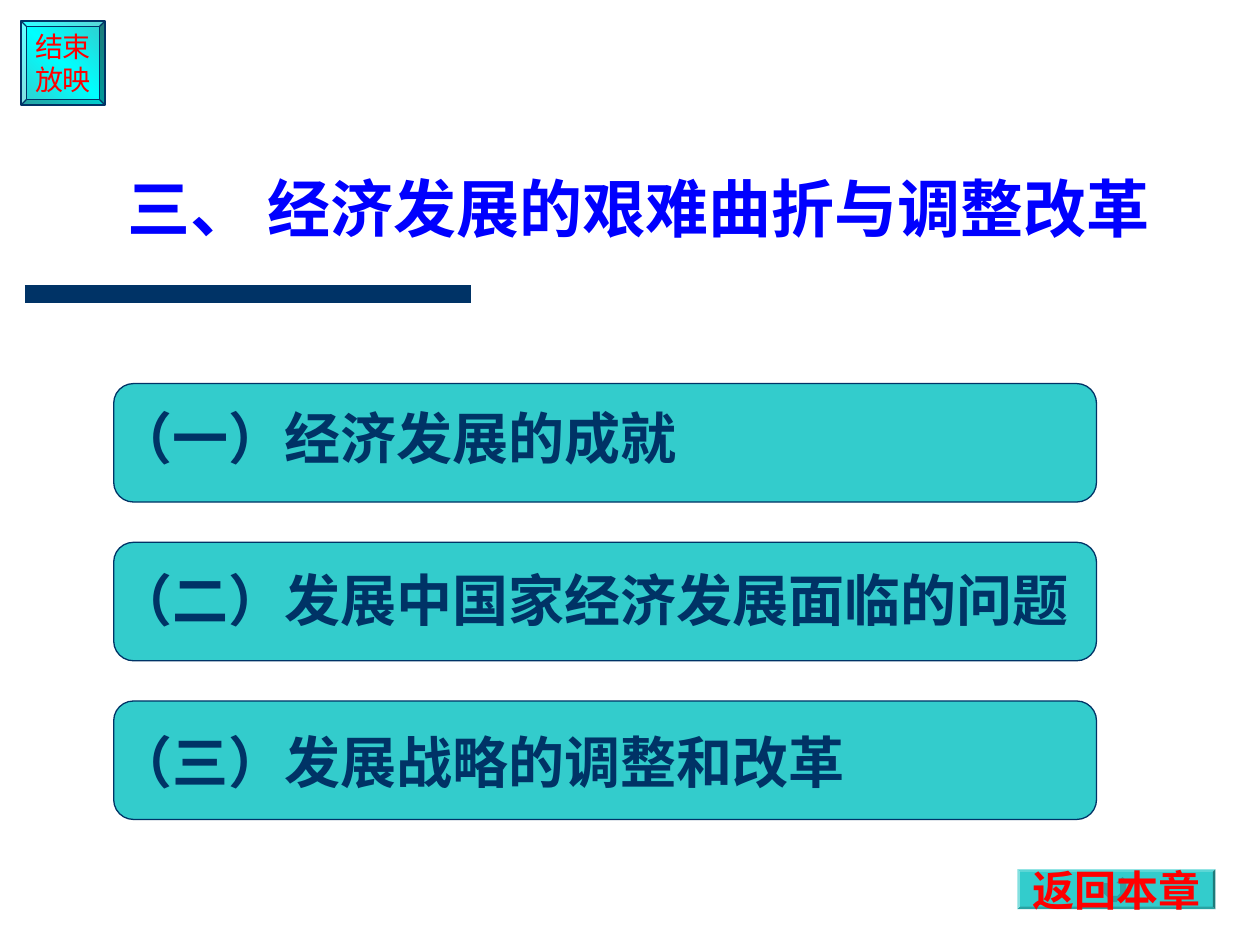
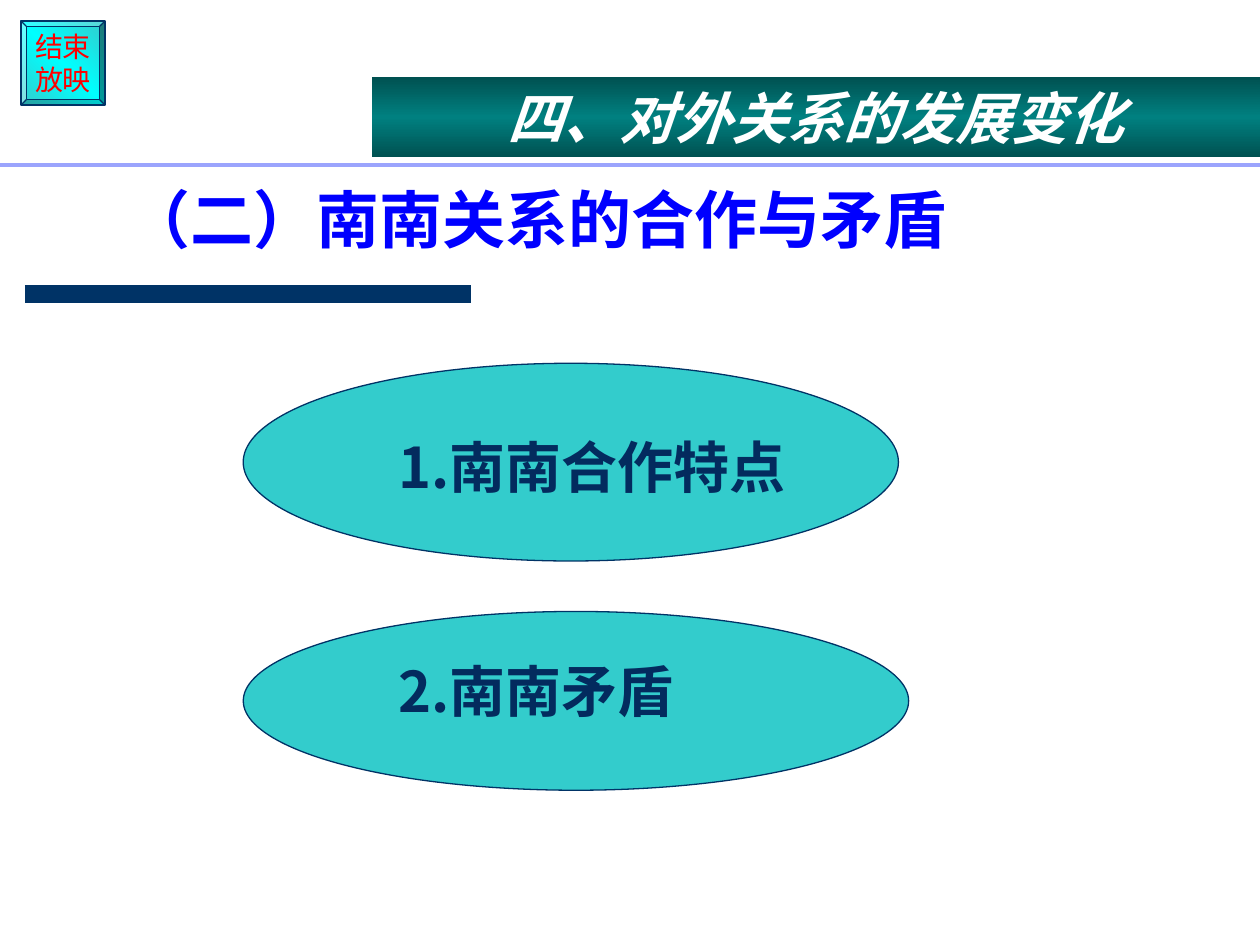
from dataclasses import dataclass

from lxml.etree import SubElement
from pptx import Presentation
from pptx.dml.color import RGBColor
from pptx.enum.shapes import MSO_CONNECTOR, MSO_SHAPE
from pptx.enum.text import MSO_ANCHOR, MSO_AUTO_SIZE, PP_ALIGN
from pptx.oxml.ns import qn
from pptx.shapes.autoshape import Shape
from pptx.slide import Slide
from pptx.text.text import TextFrame, _Paragraph
from pptx.util import Pt

COLORS = {
    "navy": "003366", "item": "032B5E", "title": "0000FF", "teal": "33CCCC",
    "cyan": "00FFFF", "red": "FF0000", "white": "FFFFFF", "rule": "9BA4FD",
    "banner_edge": "005151", "banner_core": "008080",
}
CJK = "Noto Sans CJK SC"
LATIN = "Arial"


@dataclass(frozen=True)
class Box:
    left: float
    top: float
    width: float
    height: float

    def lengths(self) -> list[Pt]:
        return [Pt(v) for v in (self.left, self.top, self.width, self.height)]


@dataclass(frozen=True)
class Style:
    size: float
    color: str
    font: str = CJK
    bold: bool = True
    italic: bool = False


@dataclass(frozen=True)
class ItemList:
    box: Box
    style: Style
    gap: float
    margin: float
    hanging: float


TITLE = Style(36, "title")
TOPIC = Style(32, "navy")
POINT = Style(32, "item")
BANNER = Style(32, "white", italic=True)
END_LABEL = Style(16, "red", LATIN, bold=False)
RETURN_LABEL = Style(24, "red", LATIN)
BEVEL_DEPTH = 0.0625


def rgb(name: str) -> RGBColor:
    return RGBColor.from_string(COLORS[name])


def add_run(paragraph: _Paragraph, text: str, style: Style) -> None:
    run = paragraph.add_run()
    run.text = text
    font = run.font
    font.name, font.size = style.font, Pt(style.size)
    font.bold, font.italic = style.bold, style.italic
    font.color.rgb = rgb(style.color)
    east_asian = SubElement(run._r.get_or_add_rPr(), qn("a:ea"))
    east_asian.set("typeface", CJK)


def write_centred(frame: TextFrame, lines: list[str], style: Style) -> None:
    frame.word_wrap = False
    frame.vertical_anchor = MSO_ANCHOR.MIDDLE
    for i, line in enumerate(lines):
        paragraph = frame.add_paragraph() if i else frame.paragraphs[0]
        paragraph.alignment = PP_ALIGN.CENTER
        add_run(paragraph, line, style)


def paint(shape: Shape, fill: str, line: str | None = None) -> None:
    shape.shadow.inherit = False
    shape.fill.solid()
    shape.fill.fore_color.rgb = rgb(fill)
    if line:
        shape.line.color.rgb = rgb(line)
        shape.line.width = Pt(0.75)
    else:
        shape.line.fill.background()


def paint_gradient(shape: Shape, edge: str, core: str, angle: int) -> None:
    """Blend from edge to core and back, at a clockwise angle in degrees."""
    shape.fill.gradient()
    gradient = shape._element.spPr.find(qn("a:gradFill"))
    for child in list(gradient):
        gradient.remove(child)
    stops = SubElement(gradient, qn("a:gsLst"))
    for position, color in ((0, edge), (50, core), (100, edge)):
        stop = SubElement(stops, qn("a:gs"), pos=str(position * 1000))
        SubElement(stop, qn("a:srgbClr"), val=COLORS[color])
    SubElement(gradient, qn("a:lin"), ang=str(angle * 60000), scaled="0")


def add_panel(slide: Slide, kind: MSO_SHAPE, box: Box, fill: str = "teal",
              line: str | None = "navy") -> Shape:
    panel = slide.shapes.add_shape(kind, *box.lengths())
    paint(panel, fill, line)
    return panel


def add_rule(slide: Slide, start: float, end: float, y: float,
             color: str, width: float) -> None:
    rule = slide.shapes.add_connector(
        MSO_CONNECTOR.STRAIGHT, Pt(start), Pt(y), Pt(end), Pt(y))
    rule.line.color.rgb = rgb(color)
    rule.line.width = Pt(width)
    SubElement(rule._element.spPr, qn("a:effectLst"))


def place(placeholder: Shape, box: Box) -> TextFrame:
    """Move a placeholder to a box, in front of what is already drawn."""
    placeholder.left, placeholder.top, placeholder.width, placeholder.height = box.lengths()
    element = placeholder._element
    element.getparent().append(element)
    frame = placeholder.text_frame
    frame.word_wrap = True
    frame.auto_size = MSO_AUTO_SIZE.NONE
    return frame


def add_title(slide: Slide, text: str, top: float) -> None:
    frame = place(slide.shapes.title, Box(65.5, top, 612.7, 78.5))
    frame.vertical_anchor = MSO_ANCHOR.BOTTOM
    paragraph = frame.paragraphs[0]
    paragraph.alignment = PP_ALIGN.LEFT
    paragraph.line_spacing = 0.9
    add_run(paragraph, text, TITLE)


def add_items(slide: Slide, items: list[str], layout: ItemList) -> None:
    frame = place(slide.placeholders[1], layout.box)
    frame.vertical_anchor = MSO_ANCHOR.TOP
    for i, item in enumerate(items):
        paragraph = frame.add_paragraph() if i else frame.paragraphs[0]
        properties = paragraph._p.get_or_add_pPr()
        properties.set("marL", str(Pt(layout.margin)))
        properties.set("indent", str(Pt(-layout.hanging)))
        SubElement(properties, qn("a:buNone"))
        paragraph.space_before = Pt(layout.gap if i else 0)
        add_run(paragraph, item, layout.style)


def start_slide(deck: Presentation) -> Slide:
    """Add a slide with the shared title rule and end-show button."""
    slide = deck.slides.add_slide(deck.slide_layouts[1])
    add_rule(slide, 14.2, 269.2, 168, "navy", 10)
    end_show = add_panel(slide, MSO_SHAPE.BEVEL, Box(12, 12, 48, 48))
    end_show.adjustments[0] = BEVEL_DEPTH
    paint_gradient(end_show, "teal", "cyan", 135)
    write_centred(end_show.text_frame, ["结束", "放映"], END_LABEL)
    return slide


def add_return_button(slide: Slide) -> None:
    button = add_panel(slide, MSO_SHAPE.BEVEL, Box(581.3, 496.8, 113.2, 22.8), line=None)
    button.adjustments[0] = BEVEL_DEPTH
    outline = [(630.7, 504.7), (634.3, 504.7), (634.3, 510.5), (635.8, 511.9),
               (638.6, 511.9), (640.1, 510.5), (640.1, 504.7), (637.9, 504.7),
               (641.5, 501.1), (645.1, 504.7), (643.7, 504.7), (643.7, 510.5),
               (638, 515.5), (635.8, 515.5), (630.7, 510.5)]
    points = [(Pt(x), Pt(y)) for x, y in outline]
    builder = slide.shapes.build_freeform(*points[0])
    builder.add_line_segments(points[1:])
    arrow = builder.convert_to_shape()
    paint(arrow, "teal")
    arrow.fill.fore_color.brightness = -0.2
    write_centred(arrow.text_frame, ["返回本章"], RETURN_LABEL)


def build_economy(deck: Presentation) -> None:
    slide = start_slide(deck)
    for i in range(3):
        add_panel(slide, MSO_SHAPE.FLOWCHART_ALTERNATE_PROCESS,
                  Box(65, 219.2 + i * 90.7, 561.6, 67.7))
    add_title(slide, "三、 经济发展的艰难曲折与调整改革", 65.5)
    add_items(slide,
              ["（一）经济发展的成就", "（二）发展中国家经济发展面临的问题", "（三）发展战略的调整和改革"],
              ItemList(Box(59.4, 226.8, 611.3, 251.2), TOPIC, 54.2, 27, 27))
    add_return_button(slide)


def build_relations(deck: Presentation) -> None:
    slide = start_slide(deck)
    add_title(slide, "（二）南南关系的合作与矛盾", 72)
    for oval in (Box(139, 207.6, 374.4, 113), Box(139, 349.4, 380.2, 102.2)):
        add_panel(slide, MSO_SHAPE.OVAL, oval)
    add_items(slide, ["1.南南合作特点", "2.南南矛盾"],
              ItemList(Box(184.3, 243.5, 535, 251), POINT, 89.8, 58.5, 22.5))
    banner = add_panel(slide, MSO_SHAPE.RECTANGLE, Box(212.4, 43.9, 507.6, 46), line=None)
    paint_gradient(banner, "banner_edge", "banner_core", 90)
    write_centred(banner.text_frame, ["四、对外关系的发展变化"], BANNER)
    add_rule(slide, 0, 720, 94.3, "rule", 1.75)


def main() -> None:
    deck = Presentation()
    deck.slide_width, deck.slide_height = Pt(720), Pt(540)
    build_economy(deck)
    build_relations(deck)
    deck.save("out.pptx")


if __name__ == "__main__":
    main()
